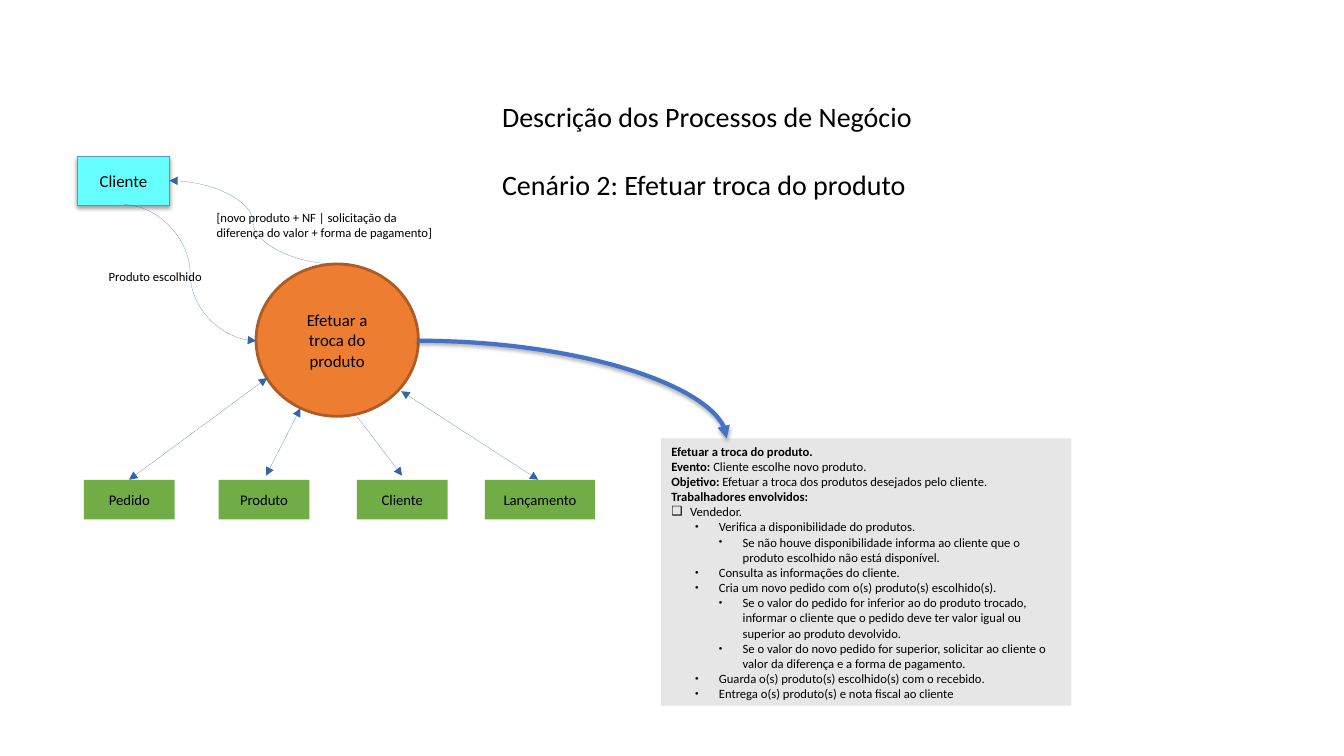
from lxml import etree
from pptx import Presentation
from pptx.dml.color import RGBColor
from pptx.enum.shapes import MSO_CONNECTOR, MSO_SHAPE
from pptx.enum.text import MSO_ANCHOR, MSO_AUTO_SIZE, PP_ALIGN
from pptx.oxml.ns import qn
from pptx.util import Pt

RECT, ELLIPSE = MSO_SHAPE.RECTANGLE, MSO_SHAPE.OVAL
STRAIGHT, CURVE = MSO_CONNECTOR.STRAIGHT, MSO_CONNECTOR.CURVE
LEFT, CENTER = PP_ALIGN.LEFT, PP_ALIGN.CENTER
TOP, MIDDLE = MSO_ANCHOR.TOP, MSO_ANCHOR.MIDDLE
FIXED = MSO_AUTO_SIZE.NONE
TITLE_AND_CONTENT = 1


def color(hex_value):
    """Turn a hex string into a colour."""
    return RGBColor.from_string(hex_value)


def add_xml(parent, tag, **attributes):
    """Append a DrawingML element and return it."""
    values = {name: str(value) for name, value in attributes.items()}
    return etree.SubElement(parent, qn("a:" + tag), values)


def add_shadow(effects, alpha, distance):
    """Put a soft downward shadow into an effect list."""
    shadow = add_xml(effects, "outerShdw", blurRad=Pt(3.1), dist=Pt(distance),
                     dir=5400000, rotWithShape=0)
    black = add_xml(shadow, "srgbClr", val="000000")
    add_xml(black, "alpha", val=alpha * 1000)


class ProcessSlide:
    """Holds the style and the current slide."""

    font, ink, flow = "Calibri", "000000", "3465A4"

    def __init__(self, slide):
        self.slide = slide
        self.shapes = slide.shapes

    def format_text(self, frame, size, align=LEFT, anchor=TOP):
        """Apply the shared text style to a whole frame."""
        frame.word_wrap = True
        frame.auto_size = FIXED
        frame.vertical_anchor = anchor
        for paragraph in frame.paragraphs:
            paragraph.alignment = align
            for run in paragraph.runs:
                run.font.name, run.font.size = self.font, Pt(size)
                run.font.color.rgb = color(self.ink)

    def place(self, shape, box):
        """Move and size a shape."""
        shape.left, shape.top, shape.width, shape.height = map(Pt, box)

    def title(self, lines, box, size, gap):
        """Fill the title placeholder, with a gap between its lines."""
        heading = self.shapes.title
        self.place(heading, box)
        heading.text_frame.text = "\n".join(lines)
        for paragraph in heading.text_frame.paragraphs[1:]:
            paragraph.space_before = Pt(gap)
        self.format_text(heading.text_frame, size)

    def description(self, items, box, size, fill):
        """Fill the body placeholder with (level, bold part, plain part) items."""
        panel = self.slide.placeholders[1]
        self.place(panel, box)
        panel.fill.solid()
        panel.fill.fore_color.rgb = color(fill)
        frame = panel.text_frame
        frame.text = "\n".join(bold for _, bold, _ in items)
        for paragraph, (level, bold, plain) in zip(frame.paragraphs, items):
            for run in paragraph.runs:
                run.font.bold = True
            if plain:
                run = paragraph.add_run()
                run.text = plain
                run.font.bold = False
            paragraph.space_before = Pt(0)
            self.bullet(paragraph, level)
        self.format_text(frame, size)

    def bullet(self, paragraph, level):
        """Set indent and bullet; level None means a plain line."""
        margin, hang = {None: (0, 0), 0: (13.5, 13.5), 1: (34, 17), 2: (51, 17)}[level]
        paragraph.level = level or 0
        props = paragraph._p.get_or_add_pPr()
        props.set("marL", str(Pt(margin)))
        props.set("indent", str(-Pt(hang)))
        if level is None:
            add_xml(props, "buNone")
            return
        add_xml(add_xml(props, "buClr"), "srgbClr", val=self.ink)
        if level:
            add_xml(props, "buSzPct", val=45000)
        add_xml(props, "buFont", typeface=self.font)
        add_xml(props, "buChar", char="●" if level else "❑")

    def node(self, kind, text, box, size, fill, line=None, width=0, shadow=False):
        """Add a filled shape with centred text."""
        shape = self.shapes.add_shape(kind, *map(Pt, box))
        shape.shadow.inherit = False
        if shadow:
            add_shadow(shape._element.spPr.find(qn("a:effectLst")), 38, 1.6)
        shape.fill.solid()
        shape.fill.fore_color.rgb = color(fill)
        if line:
            shape.line.color.rgb = color(line)
            shape.line.width = Pt(width)
        else:
            shape.line.fill.background()
        shape.text_frame.text = text
        self.format_text(shape.text_frame, size, CENTER, MIDDLE)

    def label(self, text, box, size=9):
        """Add a flow label."""
        caption = self.shapes.add_textbox(*map(Pt, box))
        caption.text_frame.text = text
        self.format_text(caption.text_frame, size)

    def arrow(self, start, end, kind=STRAIGHT, both=False, line=flow, width=0):
        """Add an arrow and return it; width 0 draws a hairline."""
        link = self.shapes.add_connector(kind, *map(Pt, start + end))
        link.line.color.rgb = color(line)
        outline = link.line._get_or_add_ln()
        # line.width drops a zero, and the theme width would then apply
        outline.set("w", str(Pt(width)))
        if both:
            add_xml(outline, "headEnd", type="triangle")
        add_xml(outline, "tailEnd", type="triangle")
        add_xml(link._element.spPr, "effectLst")
        return link

    def callout_arrow(self, start, end):
        """Add the thick quarter-curve arrow with a shadow."""
        link = self.arrow(start, end, CURVE, line="4472C4", width=3)
        props = link._element.spPr
        props.find(qn("a:prstGeom")).set("prst", "curvedConnector2")
        add_shadow(props.find(qn("a:effectLst")), 35, 1.8)


deck = Presentation()
deck.slide_width, deck.slide_height = Pt(960), Pt(540)
page = ProcessSlide(deck.slides.add_slide(deck.slide_layouts[TITLE_AND_CONTENT]))

page.title(["Descrição dos Processos de Negócio", "Cenário 2: Efetuar troca do produto"],
           (351.4, 67.7, 401, 80), 20, 24.4)
page.description([
    (None, "Efetuar a troca do produto.", ""),
    (None, "Evento:", " Cliente escolhe novo produto."),
    (None, "Objetivo: ", "Efetuar a troca dos produtos desejados pelo cliente."),
    (None, "Trabalhadores envolvidos:", ""),
    (0, "", "Vendedor."),
    (1, "", "Verifica a disponibilidade do produtos."),
    (2, "", "Se não houve disponibilidade informa ao cliente que o produto escolhido "
            "não está disponível."),
    (1, "", "Consulta as informações do cliente."),
    (1, "", "Cria um novo pedido com o(s) produto(s) escolhido(s)."),
    (2, "", "Se o valor do pedido for inferior ao do produto trocado, informar o cliente "
            "que o pedido deve ter valor igual ou superior ao produto devolvido."),
    (2, "", "Se o valor do novo pedido for superior, solicitar ao cliente o valor da "
            "diferença e a forma de pagamento."),
    (1, "", "Guarda o(s) produto(s) escolhido(s) com o recebido."),
    (1, "", "Entrega o(s) produto(s) e nota fiscal ao cliente"),
], (472.3, 313.2, 293, 190.8), 9, "E7E6E6")

page.node(ELLIPSE, "Efetuar a troca do produto", (182.9, 188.6, 116, 108.8), 12,
          "ED7D31", "AF5C24", 2)
page.node(RECT, "Cliente", (55.4, 112, 65.6, 34.6), 12, "66FFFF", "5597D3", 0.75, True)
for store, left, width in [("Pedido", 60, 64.8), ("Produto", 156.2, 64.8),
                           ("Cliente", 255, 64.8), ("Lançamento", 346.4, 78.6)]:
    page.node(RECT, store, (left, 342.8, width, 28.2), 10.5, "70AD47")

page.callout_arrow((298.8, 243.4), (519.1, 313.2))
page.arrow((88.6, 146.2), (182.9, 243.4), CURVE)
page.arrow((240.5, 188.6), (121, 129), CURVE)
for process_end, store_end in [((190.8, 270), (92.2, 342.7)),
                               ((214.6, 291.6), (190.1, 339.8)),
                               ((286.6, 279.4), (384.5, 342.7))]:
    page.arrow(process_end, store_end, both=True)
page.arrow((254.9, 297.4), (287.3, 339.8))

page.label("[novo produto + NF | solicitação da diferença do valor + forma de pagamento]",
           (147.6, 146.2, 177.8, 28.8))
page.label("Produto escolhido", (70.6, 188.6, 116, 18))

deck.save("out.pptx")
